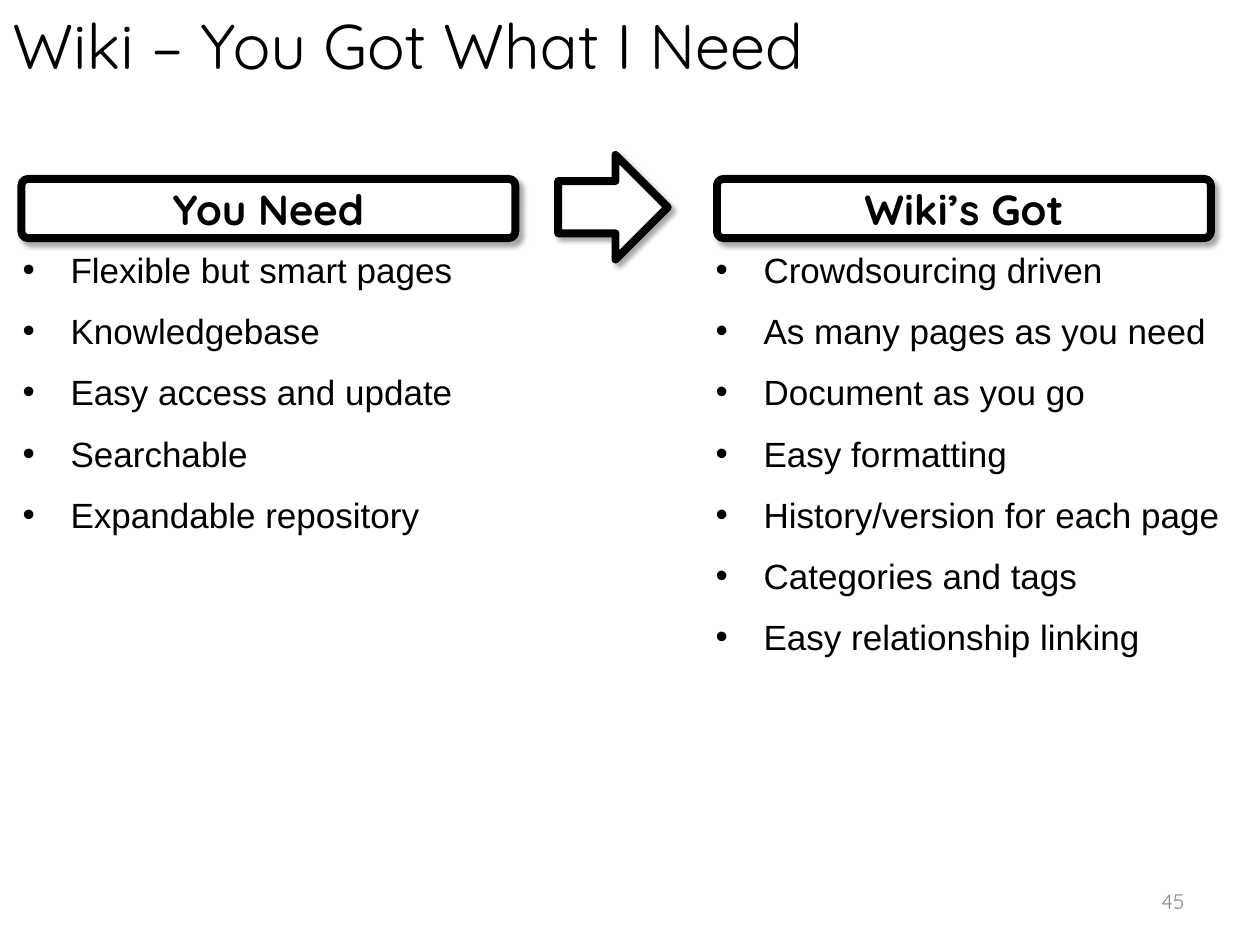
from lxml.etree import SubElement
from pptx import Presentation
from pptx.dml.color import RGBColor
from pptx.enum.shapes import MSO_SHAPE
from pptx.enum.text import MSO_ANCHOR, PP_ALIGN
from pptx.oxml import parse_xml
from pptx.oxml.ns import nsdecls, qn
from pptx.util import Inches, Pt

COLORS = {"ink": "000000", "paper": "FFFFFF", "muted": "8C8C8C"}
HEADER_TOP, HEADER_WIDTH, HEADER_HEIGHT = 1.42, 3.92, 0.47
LIST_TOP, LIST_INDENT = 1.96, 0.38

deck = Presentation()
deck.slide_width, deck.slide_height = Inches(10), Inches(7.5)
slide = deck.slides.add_slide(deck.slide_layouts[6])


def write(frame, lines, size, font, color="ink", bold=False, align=PP_ALIGN.LEFT):
    frame.word_wrap = True
    frame.text = "\n".join(lines)
    for paragraph in frame.paragraphs:
        paragraph.alignment = align
        style = paragraph.runs[0].font
        style.size, style.name, style.bold = Pt(size), font, bold
        style.color.rgb = RGBColor.from_string(COLORS[color])


def outlined(preset, left, top, width, height):
    block = slide.shapes.add_shape(
        preset, Inches(left), Inches(top), Inches(width), Inches(height))
    block.fill.solid()
    block.fill.fore_color.rgb = RGBColor.from_string(COLORS["paper"])
    block.line.color.rgb = RGBColor.from_string(COLORS["ink"])
    block.line.width = Pt(4.5)
    SubElement(block.line._get_or_add_ln(), qn("a:round"))
    # Soft shadow towards the lower right
    block._element.spPr.append(parse_xml(
        f'<a:effectLst {nsdecls("a")}><a:outerShdw blurRad="{Pt(3.1)}" dist="{Pt(3)}" '
        f'dir="2700000" algn="tl" rotWithShape="0"><a:srgbClr val="{COLORS["ink"]}">'
        '<a:alpha val="35000"/></a:srgbClr></a:outerShdw></a:effectLst>'))
    return block


# Page number
page_number = slide.shapes.add_textbox(
    Inches(7.17), Inches(6.95), Inches(2.33), Inches(0.4)).text_frame
page_number.vertical_anchor = MSO_ANCHOR.MIDDLE
write(page_number, ["45"], 12, "Quicksand", "muted", align=PP_ALIGN.RIGHT)

# Title
title = slide.shapes.add_textbox(0, 0, Inches(8.49), Inches(0.71)).text_frame
write(title, ["Wiki – You Got What I Need"], 36, "Quicksand")

# Two columns: heading, left edge, list left, list width, list height, points
columns = [
    ("You Need", 0.17, 0.18, 3.85, 3.1, [
        "Flexible but smart pages", "Knowledgebase", "Easy access and update",
        "Searchable", "Expandable repository"]),
    ("Wiki’s Got", 5.69, 5.68, 4.28, 4.05, [
        "Crowdsourcing driven", "As many pages as you need", "Document as you go",
        "Easy formatting", "History/version for each page", "Categories and tags",
        "Easy relationship linking"]),
]
for heading, left, list_left, list_width, list_height, points in columns:
    header = outlined(MSO_SHAPE.ROUNDED_RECTANGLE, left, HEADER_TOP,
                      HEADER_WIDTH, HEADER_HEIGHT)
    header.adjustments[0] = 0.11
    header.text_frame.vertical_anchor = MSO_ANCHOR.MIDDLE
    write(header.text_frame, [heading], 24, "Quicksand", bold=True, align=PP_ALIGN.CENTER)

    bullets = slide.shapes.add_textbox(
        Inches(list_left), Inches(LIST_TOP), Inches(list_width), Inches(list_height)).text_frame
    bullets.margin_left = bullets.margin_right = bullets.margin_top = bullets.margin_bottom = 0
    write(bullets, points, 20, "Arial")
    for point in bullets.paragraphs:
        point.space_before = Pt(10)
        point.line_spacing = 1.04
        properties = point._p.get_or_add_pPr()
        properties.set("marL", str(Inches(LIST_INDENT)))
        properties.set("indent", str(-Inches(LIST_INDENT)))
        SubElement(properties, qn("a:buFont"), typeface="Arial")
        SubElement(properties, qn("a:buChar"), char="•")

# Arrow from needs to offers
outlined(MSO_SHAPE.RIGHT_ARROW, 4.43, 1.23, 0.87, 0.83)

deck.save("out.pptx")
